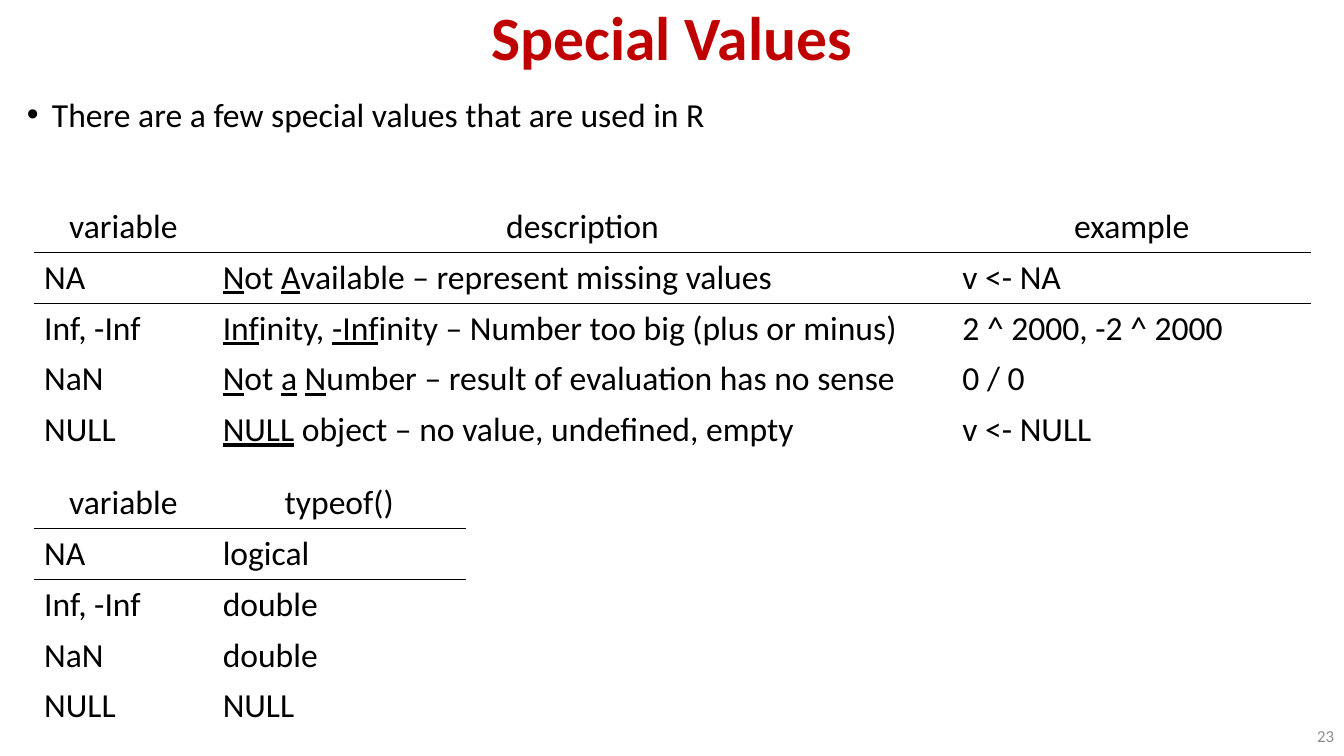
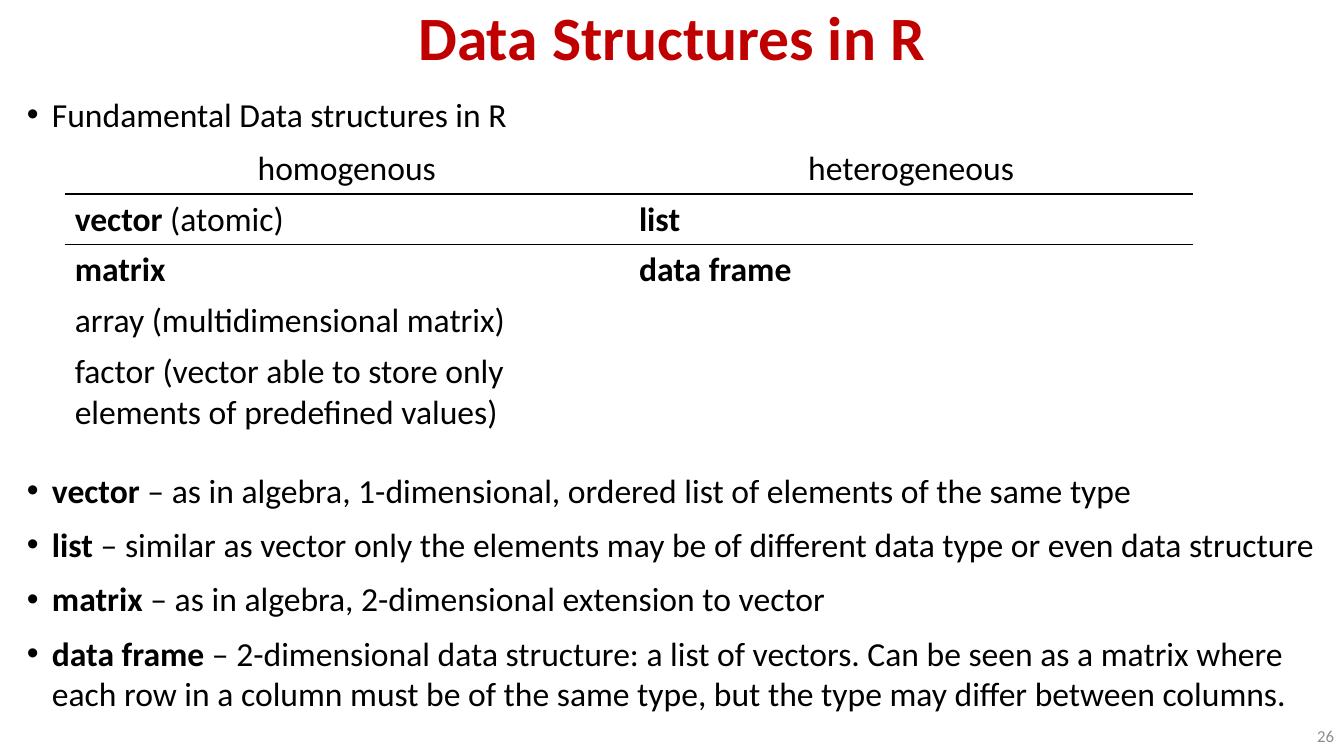
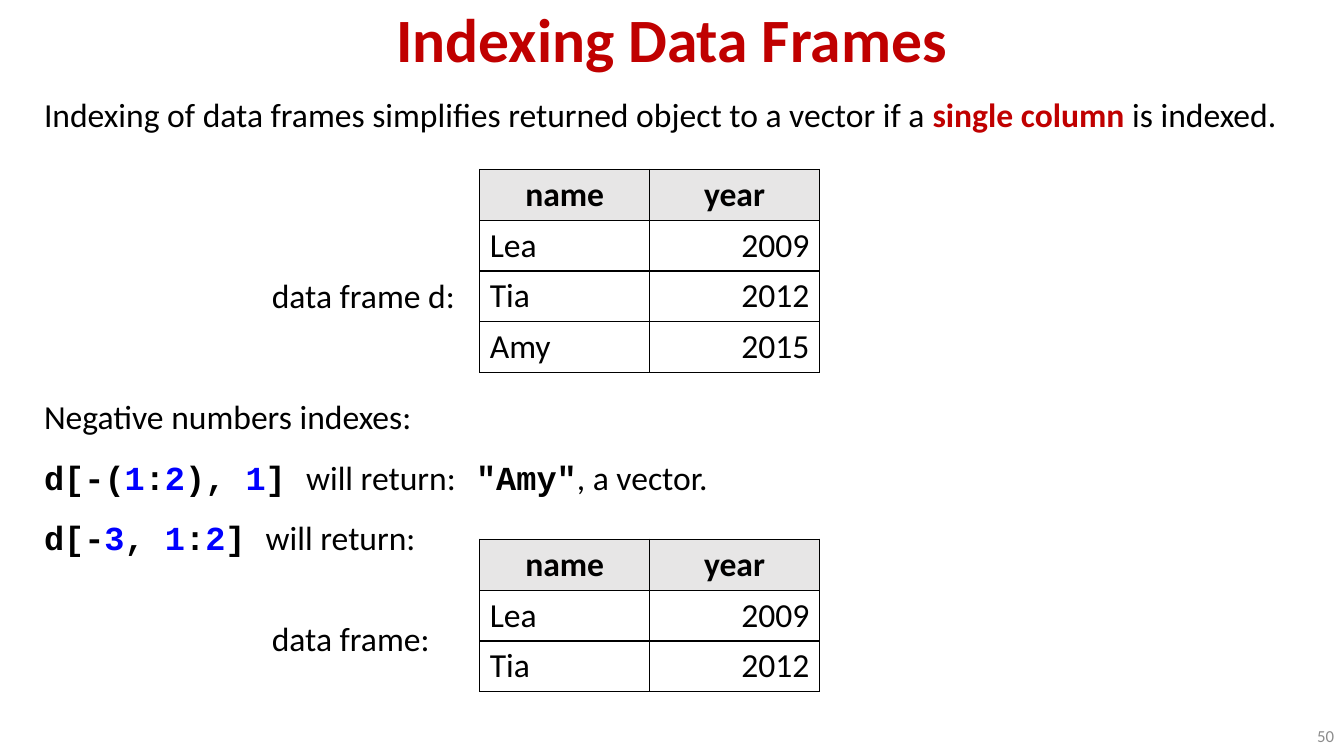
"""Build three slides on special values, data structures and data frame indexing in R."""
from lxml import etree
from pptx import Presentation
from pptx import util as u
from pptx.dml.color import RGBColor
from pptx.enum import text
from pptx.oxml import ns

COLORS = {"ink": "000000", "red": "C00000", "blue": "0000FF", "grey": "8C8C8C", "header": "E7E6E6"}
STYLES = {
    "plain": ("Calibri", "ink", False, False),
    "bold": ("Calibri", "ink", True, False),
    "under": ("Calibri", "ink", False, True),
    "red": ("Calibri", "red", True, False),
    "code": ("Courier New", "ink", True, False),
    "number": ("Courier New", "blue", True, False),
    "page": ("Calibri", "grey", False, False),
}
NO_GRID = "{2D5ABB26-0587-4C30-8999-92F81FD0307C}"
LEFT, CENTER, RIGHT = text.PP_ALIGN.LEFT, text.PP_ALIGN.CENTER, text.PP_ALIGN.RIGHT
MIDDLE, BOTTOM = text.MSO_ANCHOR.MIDDLE, text.MSO_ANCHOR.BOTTOM
WIDTH, HEIGHT, ROW = 33.87, 19.05, 1.28


def add_text(slide, box, lines, size=24, align=LEFT, spacing=1.0, anchor=text.MSO_ANCHOR.TOP, bullets=False):
    """Fill a text box, or a table cell when slide is None, with lines of styled pieces."""
    if slide is None:
        frame = box.text_frame
    else:
        frame = slide.shapes.add_textbox(*(u.Cm(length) for length in box)).text_frame
        frame.word_wrap = True
        frame.vertical_anchor = anchor
    for index, line in enumerate(lines):
        paragraph = frame.add_paragraph() if index else frame.paragraphs[0]
        paragraph.alignment = align
        paragraph.line_spacing = spacing
        for wording, style in [(line, "plain")] if isinstance(line, str) else line:
            run = paragraph.add_run()
            run.text = wording
            face, color, run.font.bold, run.font.underline = STYLES[style]
            run.font.name = face
            run.font.size = u.Pt(size)
            run.font.color.rgb = RGBColor.from_string(COLORS[color])
        if bullets:
            paragraph.space_before = u.Pt(10)
            properties = paragraph._p.get_or_add_pPr()
            properties.set("marL", str(u.Cm(0.63)))
            properties.set("indent", str(u.Cm(-0.63)))
            etree.SubElement(properties, ns.qn("a:buFont"), typeface="Arial")
            etree.SubElement(properties, ns.qn("a:buChar"), char="•")


def add_grid(slide, left, top, widths, rows, boxed=False):
    """Add a table that is fully boxed or ruled under its first two rows."""
    frame = slide.shapes.add_table(len(rows), len(widths), u.Cm(left), u.Cm(top),
                                   u.Cm(sum(widths)), u.Cm(ROW * len(rows)))
    table = frame.table
    table.first_row = table.horz_banding = False
    table._tbl.tblPr.find(ns.qn("a:tableStyleId")).text = NO_GRID
    for column, width in zip(table.columns, widths):
        column.width = u.Cm(width)
    for r, row in enumerate(rows):
        table.rows[r].height = u.Cm(ROW)
        for c, content in enumerate(row):
            cell = table.cell(r, c)
            align = CENTER if r == 0 else RIGHT if boxed and c else LEFT
            if content:
                add_text(None, cell, [content], align=align)
            if boxed and r == 0:
                cell.fill.solid()
                cell.fill.fore_color.rgb = RGBColor.from_string(COLORS["header"])
            else:
                cell.fill.background()
            sides = ("lnL", "lnR", "lnT", "lnB") if boxed else ("lnB",) if r < 2 else ()
            for position, side in enumerate(sides):
                border = etree.Element(ns.qn("a:" + side), w=str(u.Pt(1)))
                fill = etree.SubElement(border, ns.qn("a:solidFill"))
                etree.SubElement(fill, ns.qn("a:srgbClr"), val=COLORS["ink"])
                cell._tc.get_or_add_tcPr().insert(position, border)


deck = Presentation()
deck.slide_width, deck.slide_height = u.Cm(WIDTH), u.Cm(HEIGHT)

slides = []
for title, number, anchor in [
    ("Special Values", "23", MIDDLE),
    ("Data Structures in R", "26", MIDDLE),
    ("Indexing Data Frames", "50", BOTTOM),
]:
    slide = deck.slides.add_slide(deck.slide_layouts[6])
    add_text(slide, (0, 0, WIDTH, 2.03), [[(title, "red")]], 44, CENTER, 0.9, anchor)
    add_text(slide, (31.02, 18.03, 2.85, 1.02), [[(number, "page")]], 12, RIGHT, anchor=MIDDLE)
    slides.append(slide)
special, structures, indexing = slides

for slide, lead in [
    (special, "There are a few special values that are used in R"),
    (structures, "Fundamental Data structures in R"),
]:
    add_text(slide, (0.43, 1.98, 32.99, 1.6), [lead], spacing=1.25, bullets=True)

add_grid(special, 0.86, 5.08, (4.5, 18.64, 9.04), [
    ("variable", "description", "example"),
    ("NA", [("N", "under"), ("ot ", "plain"), ("A", "under"),
            ("vailable – represent missing values", "plain")], "v <- NA"),
    ("Inf, -Inf", [("Inf", "under"), ("inity, ", "plain"), ("-Inf", "under"),
                   ("inity – Number too big (plus or minus)", "plain")], "2 ^ 2000, -2 ^ 2000"),
    ("NaN", [("N", "under"), ("ot ", "plain"), ("a", "under"), (" ", "plain"), ("N", "under"),
             ("umber – result of evaluation has no sense", "plain")], "0 / 0"),
    ("NULL", [("NULL", "under"), (" object – no value, undefined, empty", "plain")], "v <- NULL"),
])
add_grid(special, 0.86, 12.04, (4.5, 6.38), [
    ("variable", "typeof()"),
    ("NA", "logical"),
    ("Inf, -Inf", "double"),
    ("NaN", "double"),
    ("NULL", "NULL"),
])

add_grid(structures, 1.63, 3.61, (14.22, 14.22), [
    ("homogenous", "heterogeneous"),
    ([("vector", "bold"), (" (atomic)", "plain")], [("list", "bold")]),
    ([("matrix", "bold")], [("data frame", "bold")]),
    ("array (multidimensional matrix)", ""),
    ("factor (vector able to store only elements of predefined values)", ""),
])
definitions = {
    "vector": "as in algebra, 1-dimensional, ordered list of elements of the same type",
    "list": "similar as vector only the elements may be of different data type or even data structure",
    "matrix": "as in algebra, 2-dimensional extension to vector",
    "data frame": "2-dimensional data structure: a list of vectors. Can be seen as a matrix where each row "
                  "in a column must be of the same type, but the type may differ between columns.",
}
add_text(structures, (0.43, 11.71, 32.99, 6.6),
         [[(term, "bold"), (" – " + meaning, "plain")] for term, meaning in definitions.items()],
         bullets=True)

add_text(indexing, (0.86, 2.24, 32.13, 1.3), [[
    ("Indexing of data frames simplifies returned object to a vector if a ", "plain"),
    ("single column", "red"), (" is indexed.", "plain"),
]])
add_text(indexing, (0.86, 9.35, 32.13, 4.9), [
    "Negative numbers indexes:",
    [("d[-(", "code"), ("1", "number"), (":", "code"), ("2", "number"), ("), ", "code"), ("1", "number"),
     ("] ", "code"), ("will return:", "plain"), (' "Amy"', "code"), (", a vector.", "plain")],
    [("d[-", "code"), ("3", "number"), (", ", "code"), ("1", "number"), (":", "code"), ("2", "number"),
     ("] ", "code"), ("will return:", "plain")],
], spacing=1.5)

header = ([("name", "bold")], [("year", "bold")])
people = [("Lea", "2009"), ("Tia", "2012"), ("Amy", "2015")]
for label, label_top, grid_top, count in [
    ("data frame d:", 6.8, 4.27, 3),
    ("data frame:", 15.45, 13.59, 2),
]:
    add_text(indexing, (6.6, label_top, 5.4, 1.3), [label])
    add_grid(indexing, 12.09, grid_top, (4.28, 4.28), [header, *people[:count]], boxed=True)

deck.save("out.pptx")
